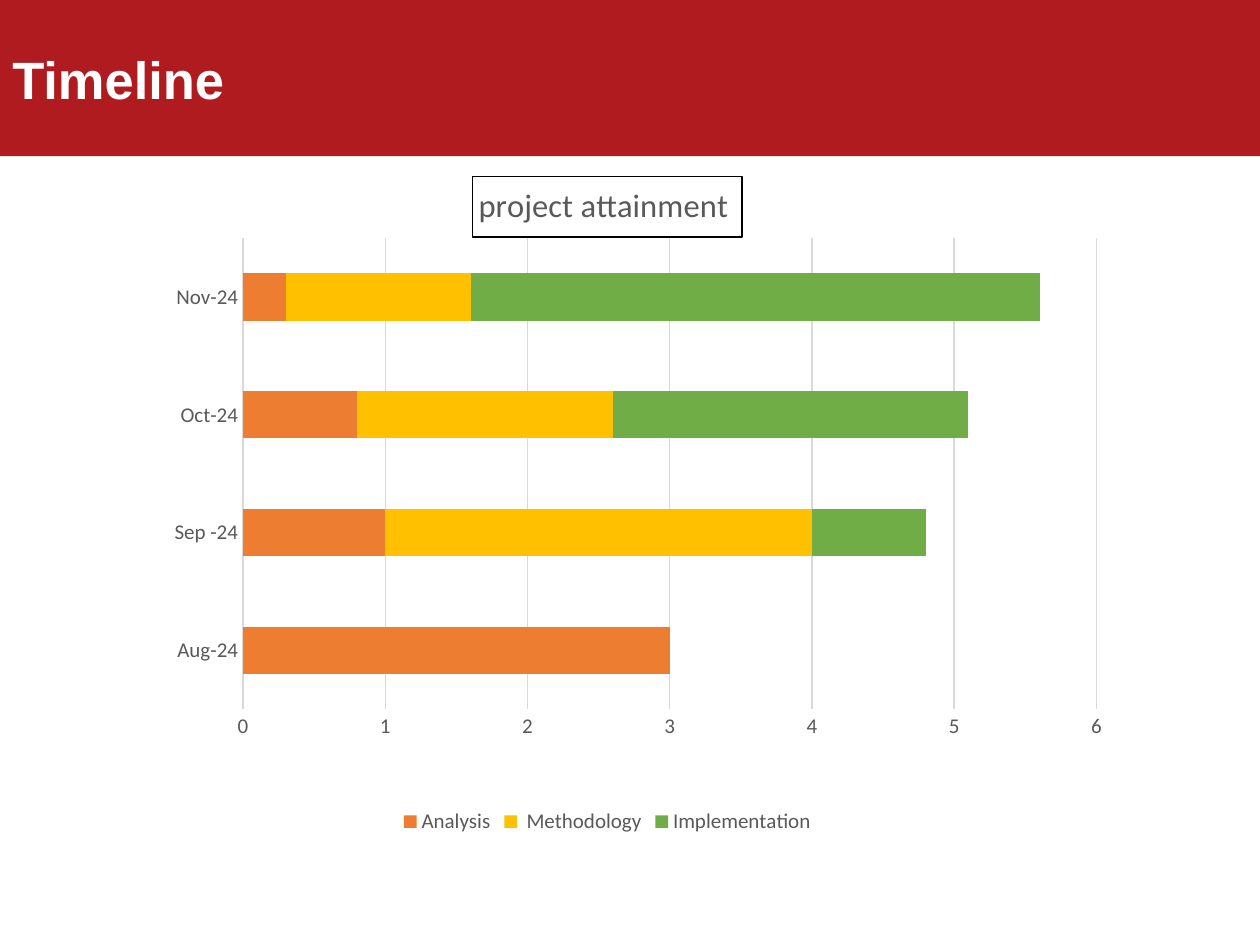
from lxml import etree
from pptx import Presentation
from pptx import util as u
from pptx.chart.data import CategoryChartData
from pptx.dml.color import RGBColor
from pptx.enum import chart as ch, shapes, text
from pptx.oxml.ns import qn

COLORS = {
    "banner": "B01B20", "white": "FFFFFF", "black": "000000",
    "text": "595959", "grid": "D9D9D9",
}
MONTHS = ["Aug-24", "Sep -24", "Oct-24", "Nov-24"]
# name, colour, values by month
PHASES = [
    ("Analysis", "ED7D31", (3, 1, 0.8, 0.3)),
    (" Methodology", "FFC000", (None, 3, 1.8, 1.3)),
    ("Implementation", "70AD47", (None, 0.8, 2.5, 4)),
]
PLOT_AREA = {"x": 0.15, "y": 0.12, "w": 0.82, "h": 0.69}


def rgb(value):
    return RGBColor.from_string(value)


def style_font(font, size, color, name="Calibri", bold=False):
    font.size = u.Pt(size)
    font.name = name
    font.bold = bold
    font.color.rgb = rgb(color)


def style_line(line, color):
    line.color.rgb = rgb(color)
    line.width = u.Pt(0.75)


def set_plot_layout(chart, fractions):
    """Fix the inner plot area as fractions of the chart box."""
    area = chart._chartSpace.chart.plotArea
    for old in area.findall(qn("c:layout")):
        area.remove(old)
    layout = etree.Element(qn("c:layout"))
    manual = etree.SubElement(layout, qn("c:manualLayout"))
    settings = [("layoutTarget", "inner"), ("xMode", "edge"), ("yMode", "edge")]
    for tag, value in settings + list(fractions.items()):
        etree.SubElement(manual, qn(f"c:{tag}")).set("val", str(value))
    area.insert(0, layout)


def add_banner(slide, left, top, width, height):
    sp = slide.shapes.add_shape(shapes.MSO_SHAPE.RECTANGLE, left, top, width, height)
    sp.shadow.inherit = False
    sp.fill.solid()
    sp.fill.fore_color.rgb = rgb(COLORS["banner"])
    sp.line.fill.background()
    tf = sp.text_frame
    tf.text = "Timeline"
    tf.vertical_anchor = text.MSO_ANCHOR.MIDDLE
    p = tf.paragraphs[0]
    p.alignment = text.PP_ALIGN.LEFT
    style_font(p.runs[0].font, 30, COLORS["white"], "Arial", True)


def add_timeline_chart(slide, left, top, width, height):
    data = CategoryChartData()
    data.categories = MONTHS
    for name, _, values in PHASES:
        data.add_series(name, values)
    chart = slide.shapes.add_chart(
        ch.XL_CHART_TYPE.BAR_STACKED, left, top, width, height, data).chart
    style_font(chart.font, 10, COLORS["black"])

    # Title in an outlined box
    chart.has_title = True
    title = chart.chart_title
    title.include_in_layout = False
    title.text_frame.text = "project attainment "
    style_font(title.text_frame.paragraphs[0].runs[0].font, 18.6, COLORS["text"])
    style_line(title.format.line, COLORS["black"])

    # Bars
    plot = chart.plots[0]
    plot.gap_width = 150
    plot.overlap = 100
    plot.vary_by_categories = False
    for series, (_, color, _) in zip(plot.series, PHASES):
        series.format.fill.solid()
        series.format.fill.fore_color.rgb = rgb(color)
    set_plot_layout(chart, PLOT_AREA)

    # Axes
    for axis in (chart.category_axis, chart.value_axis):
        axis.major_tick_mark = axis.minor_tick_mark = ch.XL_TICK_MARK.NONE
        style_font(axis.tick_labels.font, 12, COLORS["text"])
    style_line(chart.category_axis.format.line, COLORS["grid"])
    axis = chart.value_axis
    axis.minimum_scale, axis.maximum_scale, axis.major_unit = 0, 6, 1
    axis.format.line.fill.background()
    axis.has_major_gridlines = True
    style_line(axis.major_gridlines.format.line, COLORS["grid"])

    # Legend
    chart.has_legend = True
    chart.legend.position = ch.XL_LEGEND_POSITION.BOTTOM
    chart.legend.include_in_layout = False
    style_font(chart.legend.font, 12, COLORS["text"])


def main():
    prs = Presentation()
    prs.slide_width, prs.slide_height = u.Inches(10), u.Inches(7.5)
    slide = prs.slides.add_slide(prs.slide_layouts[6])
    banner_height = u.Inches(1.24)
    add_banner(slide, 0, 0, prs.slide_width, banner_height)
    add_timeline_chart(slide, u.Inches(0.69), banner_height,
                       u.Inches(8.26), u.Inches(5.42))
    prs.save("out.pptx")


if __name__ == "__main__":
    main()
